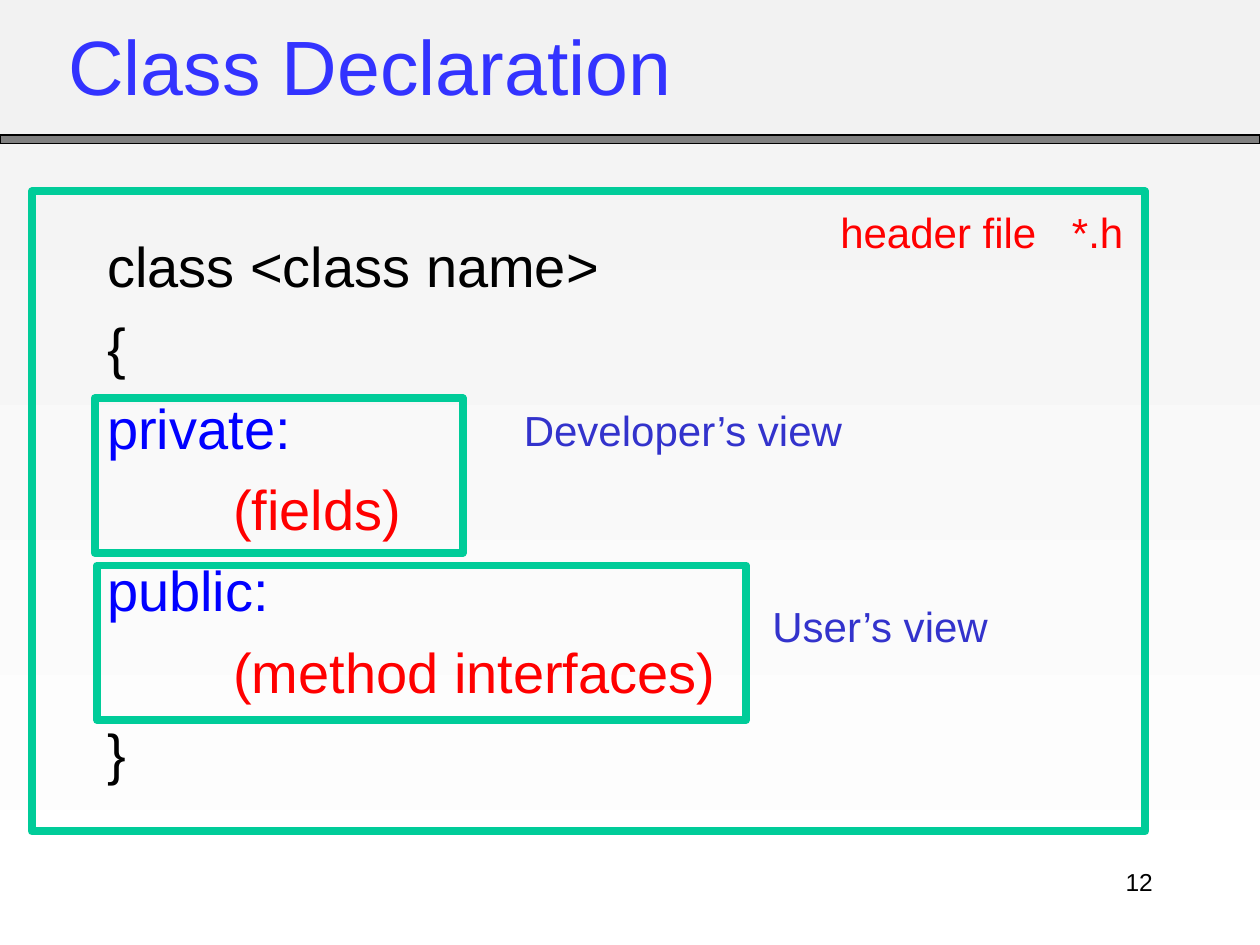
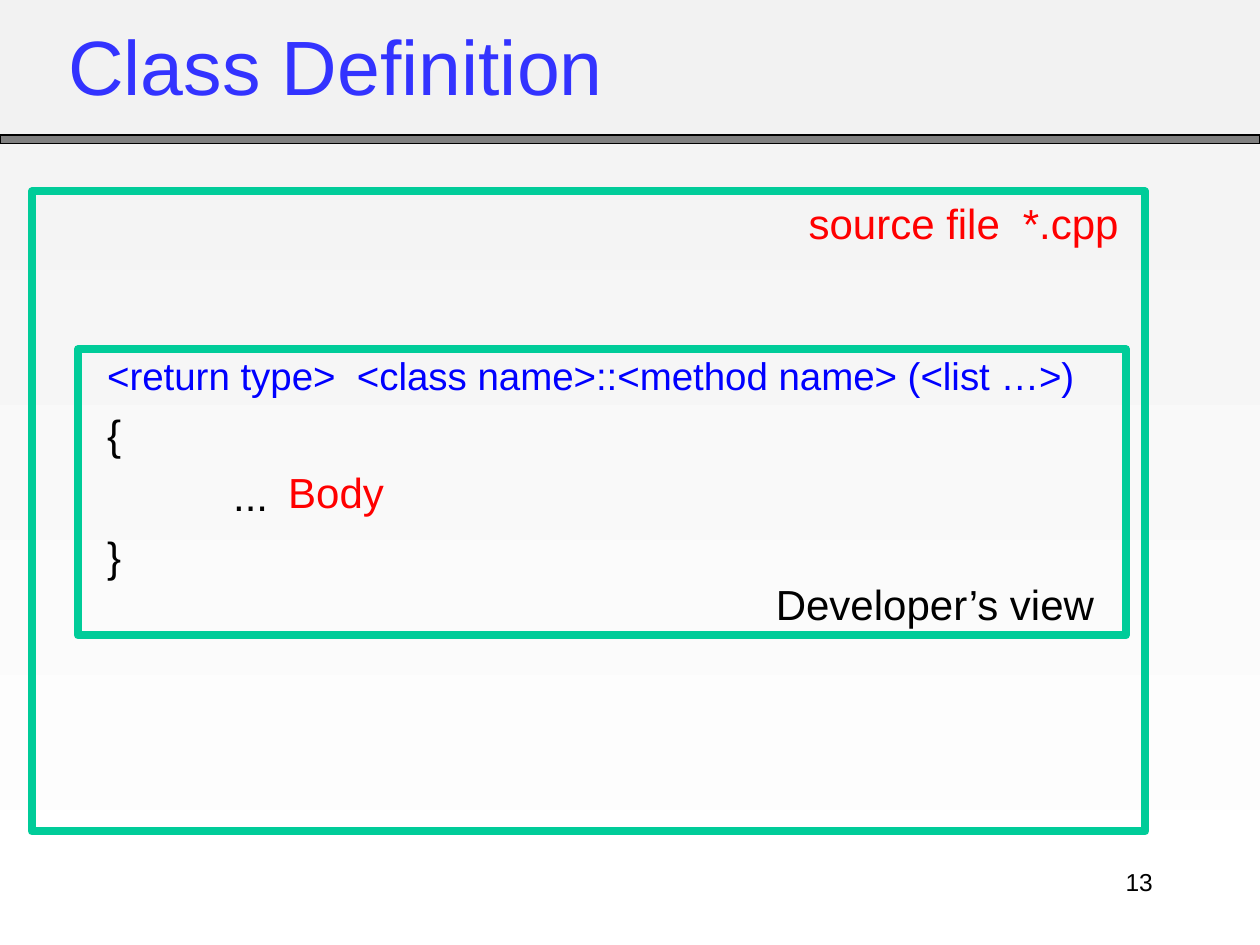
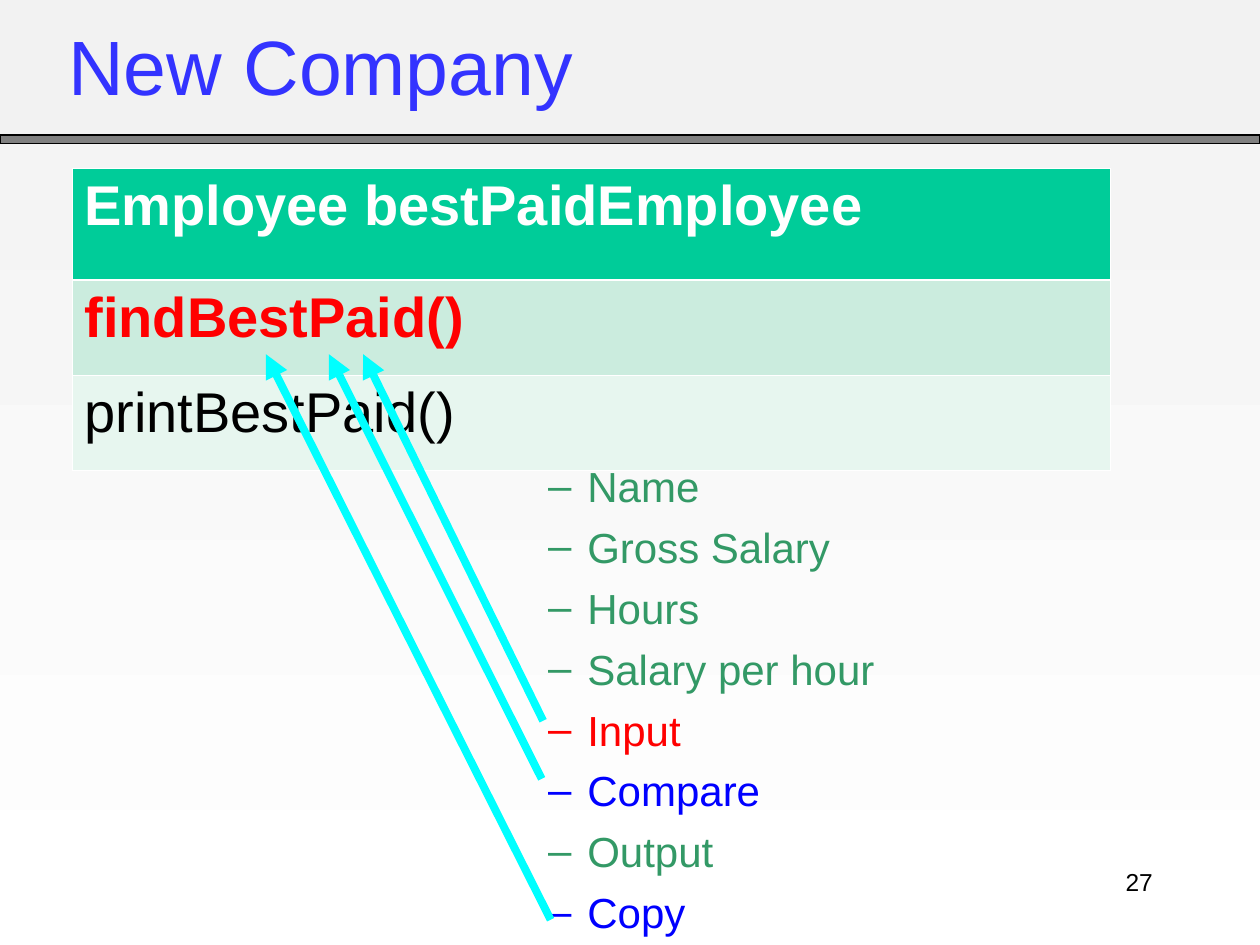
import lxml.etree
import pptx
import pptx.dml.color
import pptx.enum.shapes
import pptx.enum.text
import pptx.oxml.ns
import pptx.util

Cm, Pt = pptx.util.Cm, pptx.util.Pt
qn = pptx.oxml.ns.qn
ALIGN = pptx.enum.text.PP_ALIGN
FIT = pptx.enum.text.MSO_AUTO_SIZE
ANCHOR = pptx.enum.text.MSO_ANCHOR

FONT = "Arial"
COLORS = {
    "title": "3333FF", "text": "000000", "keyword": "0000FF", "accent": "FF0000",
    "view": "3333CC", "member": "339966", "frame": "00CC99", "arrow": "00FFFF",
    "bar": "808080", "white": "FFFFFF", "sky": "F2F2F2",
    "band_dark": "CBECDE", "band_light": "E7F6EF",
}

# Boxes are left, top, width, height in centimetres.
TITLE_BOX = (1.12, 0.25, 21.59, 2.26)
BAR_BOX = (0, 2.72, 25.4, 0.18)
NUMBER_BOX = (18.21, 17.35, 5.28, 1.27)
FILE_BOX = (0.64, 3.86, 22.45, 12.9)
TABLE_BOX = (1.45, 3.4, 20.93, 6.09)
MEMBERS_BOX = (9.53, 9.14, 8.66, 9.91)
CODE_INDENT = 2.54
SPACING = 0.25  # space before a paragraph, as a share of its text size


def rgb(name):
    return pptx.dml.color.RGBColor.from_string(COLORS[name])


def inside(box, dx, dy, w, h):
    """Return a box offset from the corner of another one."""
    return box[0] + dx, box[1] + dy, w, h


def lengths(box):
    return [Cm(v) for v in box]


def place(sp, box):
    sp.left, sp.top, sp.width, sp.height = lengths(box)


def sub(parent, tag, **attrs):
    return lxml.etree.SubElement(parent, qn(tag), attrs)


def add_run(p, text, color, size, bold=False):
    r = p.add_run()
    r.text = text
    r.font.name, r.font.size, r.font.bold = FONT, Pt(size), bold
    r.font.color.rgb = rgb(color)


def add_tab(p, position):
    tabs = sub(p._p.get_or_add_pPr(), "a:tabLst")
    sub(tabs, "a:tab", pos=str(Cm(position)), algn="l")


def indent(p, left, first):
    """Set the left margin and first-line indent; return the properties."""
    pPr = p._p.get_or_add_pPr()
    pPr.set("marL", str(Cm(left)))
    pPr.set("indent", str(Cm(first)))
    return pPr


def paragraphs(tf, count):
    return [tf.paragraphs[0]] + [tf.add_paragraph() for _ in range(count - 1)]


def set_body(sp, box, top_inset):
    place(sp, box)
    tf = sp.text_frame
    tf.word_wrap, tf.auto_size = True, FIT.NONE
    tf.vertical_anchor = ANCHOR.TOP
    tf.margin_left = tf.margin_right = Cm(0.25)
    tf.margin_top, tf.margin_bottom = Cm(top_inset), Cm(0)
    return tf


def add_code(sp, box, lines, top_inset=0.14):
    """Fill the body with lines, each a size, indent level, text and color."""
    tf = set_body(sp, box, top_inset)
    for i, (p, line) in enumerate(zip(paragraphs(tf, len(lines)), lines)):
        size, level, text, color = line
        sub(indent(p, level * CODE_INDENT, 0), "a:buNone")
        p.space_before = Pt(SPACING * size if i else 0)
        add_run(p, text, color, size)


def add_members(sp, box, members):
    tf = set_body(sp, box, 0.14)
    for i, (p, (text, color)) in enumerate(zip(paragraphs(tf, len(members)), members)):
        p.level = 1
        pPr = indent(p, 2.06, -0.79)
        sub(sub(pPr, "a:buClr"), "a:srgbClr", val=COLORS[color])
        sub(pPr, "a:buFont", typeface=FONT)
        sub(pPr, "a:buChar", char="–")
        p.space_before = Pt(SPACING * 24 if i else 0)
        add_run(p, text, color, 24)


def add_label(slide, box, text, color, size=24, align=ALIGN.LEFT, tab=None):
    sp = slide.shapes.add_textbox(*lengths(box))
    tf = sp.text_frame
    tf.word_wrap, tf.auto_size = True, FIT.SHAPE_TO_FIT_TEXT
    p = tf.paragraphs[0]
    if tab:
        add_tab(p, tab)
    p.alignment = align
    add_run(p, text, color, size)


def add_rect(slide, box, line, width, fill=None):
    sp = slide.shapes.add_shape(pptx.enum.shapes.MSO_SHAPE.RECTANGLE, *lengths(box))
    sp.shadow.inherit = False
    if fill:
        sp.fill.solid()
        sp.fill.fore_color.rgb = rgb(fill)
    else:
        sp.fill.background()
    sp.line.color.rgb, sp.line.width = rgb(line), Pt(width)
    return sp


def add_frame(slide, box):
    add_rect(slide, box, "frame", 4.5)


def add_arrow(slide, box, start, tip):
    """Draw an arrow between two points counted from the box's corner."""
    x, y = box[:2]
    ends = lengths((x + start[0], y + start[1], x + tip[0], y + tip[1]))
    c = slide.shapes.add_connector(pptx.enum.shapes.MSO_CONNECTOR.STRAIGHT, *ends)
    c.line.color.rgb, c.line.width = rgb("arrow"), Pt(4.5)
    sub(c.line._get_or_add_ln(), "a:tailEnd", type="triangle")
    sub(c._element.spPr, "a:effectLst")


def set_borders(cell, top, bottom):
    tcPr = cell._tc.get_or_add_tcPr()
    sides = (("a:lnL", 0.45), ("a:lnR", 0.45), ("a:lnT", top), ("a:lnB", bottom))
    for tag, width in sides:
        ln = sub(tcPr, tag, w=str(Pt(width)))
        sub(sub(ln, "a:solidFill"), "a:srgbClr", val=COLORS["white"])


def add_class_table(slide, box):
    rows = [
        ("Employee bestPaidEmployee", "white", True, "frame", 2.25, 0.45, 1.47),
        ("findBestPaid()", "accent", True, "band_dark", 1.92, 1.47, 0.45),
        ("printBestPaid()", "text", False, "band_light", 1.92, 0.45, 0.45),
    ]
    table = slide.shapes.add_table(len(rows), 1, *lengths(box)).table
    for i, (text, color, bold, fill, height, top, bottom) in enumerate(rows):
        table.rows[i].height = Cm(height)
        cell = table.cell(i, 0)
        set_borders(cell, top, bottom)
        cell.fill.solid()
        cell.fill.fore_color.rgb = rgb(fill)
        add_run(cell.text_frame.paragraphs[0], text, color, 32, bold)


def style_master(prs, slide):
    """Give the master its gradient and the bar below the titles."""
    master = prs.slide_master
    fill = master.background.fill
    fill.gradient()
    fill.gradient_angle = 270
    for stop, color in zip(fill.gradient_stops, ("sky", "white")):
        stop.color.rgb = rgb(color)
    bar = add_rect(slide, BAR_BOX, "text", 0.75, "bar")
    master.shapes.element.insert(2, bar._element)


def new_slide(prs, title, number):
    slide = prs.slides.add_slide(prs.slide_layouts[1])
    sp = slide.shapes.title
    place(sp, TITLE_BOX)
    tf = sp.text_frame
    tf.auto_size, tf.vertical_anchor = FIT.NONE, ANCHOR.MIDDLE
    tf.margin_bottom = Cm(0.29)
    p = tf.paragraphs[0]
    p.alignment = ALIGN.LEFT
    add_run(p, title, "title", 44)
    add_label(slide, NUMBER_BOX, str(number), "text", 14, ALIGN.RIGHT)
    return slide


def build_declaration(slide, box):
    add_code(slide.placeholders[1], inside(box, 1.27, 0.66, 21.59, 11.43), [
        (32, 0, "class <class name>", "text"),
        (32, 0, "{", "text"),
        (32, 0, "private:", "keyword"),
        (32, 1, "(fields)", "accent"),
        (32, 0, "public:", "keyword"),
        (32, 1, "(method interfaces)", "accent"),
        (32, 0, "}", "text"),
    ])
    add_frame(slide, inside(box, 1.27, 4.17, 7.42, 3.12))
    add_frame(slide, inside(box, 1.32, 7.54, 13.08, 3.12))
    add_label(slide, inside(box, 9.67, 4.17, 9.37, 1.27), "Developer’s view", "view")
    add_label(slide, inside(box, 14.68, 8.13, 9.37, 1.27), "User’s view", "view")
    add_frame(slide, box)
    add_label(slide, inside(box, 16.05, 0.18, 8.7, 1.27), "header file\t*.h", "accent", tab=4.67)


def build_definition(slide, box):
    add_code(slide.placeholders[1], inside(box, 1.27, 1.98, 21.59, 11.43), [
        (22, 0, "<return type>  <class name>::<method name> (<list …>)", "keyword"),
        (24, 0, "{", "text"),
        (24, 1, "...", "text"),
        (24, 0, "}", "text"),
    ], top_inset=1.26)
    add_frame(slide, box)
    add_label(slide, inside(box, 15.41, 0, 8.7, 1.27), "source file\t*.cpp", "accent", tab=4.32)
    add_frame(slide, inside(box, 0.93, 3.18, 21.13, 5.77))
    add_label(slide, inside(box, 14.75, 7.67, 9.37, 1.27), "Developer’s view", "text")
    add_label(slide, inside(box, 4.92, 5.41, 8, 1.27), "Body", "accent")


def build_company(slide, table_box, members_box):
    add_class_table(slide, table_box)
    add_members(slide.placeholders[1], members_box, [
        ("Name", "member"), ("Gross Salary", "member"), ("Hours", "member"),
        ("Salary per hour", "member"), ("Input", "accent"), ("Compare", "keyword"),
        ("Output", "member"), ("Copy", "keyword"),
    ])
    for start, tip_x in (((9.5, 11.13), 5.87), ((9.47, 12.3), 5.18), ((9.65, 15.14), 3.91)):
        add_arrow(slide, table_box, start, (tip_x, 3.74))


def main():
    prs = pptx.Presentation()
    prs.slide_width, prs.slide_height = Cm(25.4), Cm(19.05)
    declaration = new_slide(prs, "Class Declaration", 12)
    style_master(prs, declaration)
    build_declaration(declaration, FILE_BOX)
    build_definition(new_slide(prs, "Class Definition", 13), FILE_BOX)
    build_company(new_slide(prs, "New Company", 27), TABLE_BOX, MEMBERS_BOX)
    prs.save("out.pptx")


if __name__ == "__main__":
    main()
